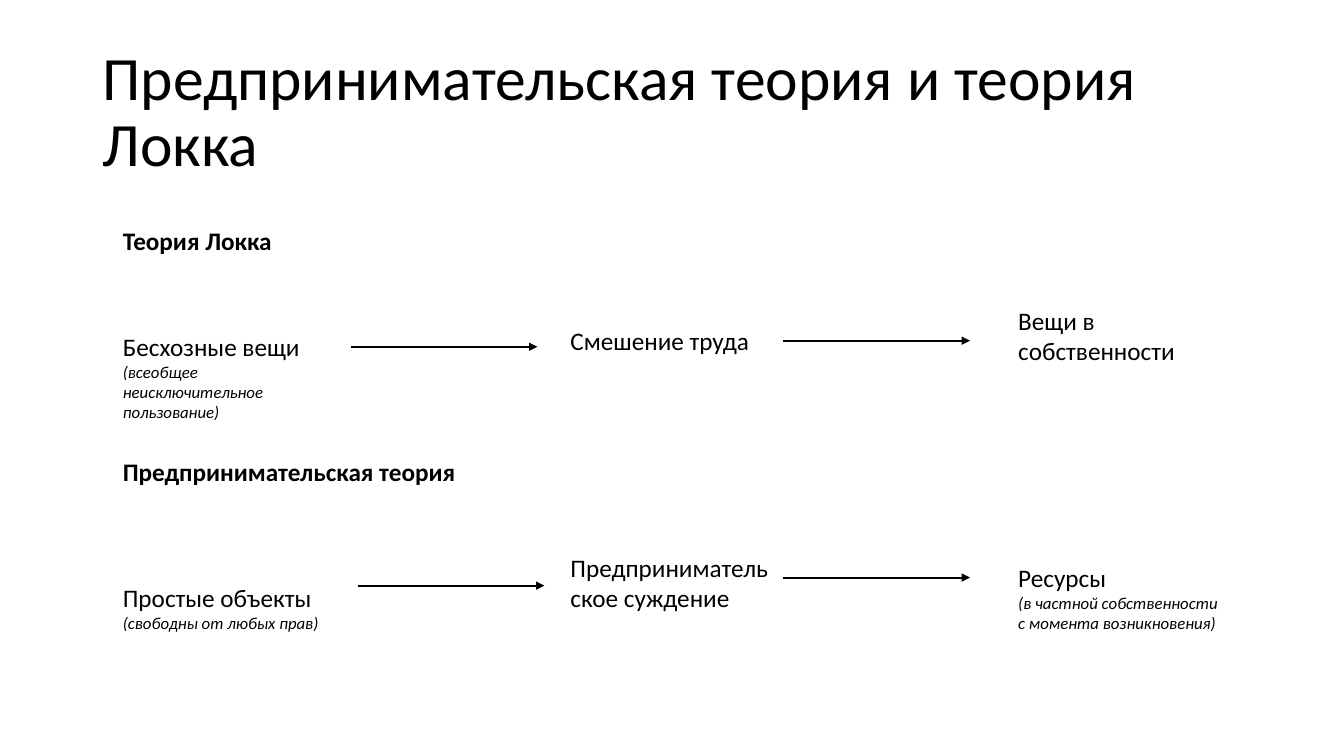
from dataclasses import dataclass

from lxml import etree
from pptx import Presentation
from pptx.dml.color import RGBColor
from pptx.enum.shapes import MSO_CONNECTOR
from pptx.enum.text import MSO_ANCHOR, MSO_AUTO_SIZE
from pptx.oxml.ns import qn
from pptx.util import Inches, Pt

STRAIGHT = MSO_CONNECTOR.STRAIGHT
MIDDLE, TOP = MSO_ANCHOR.MIDDLE, MSO_ANCHOR.TOP
FIT_SHAPE, NO_FIT = MSO_AUTO_SIZE.SHAPE_TO_FIT_TEXT, MSO_AUTO_SIZE.NONE
RIGHT_SIDE = 3


@dataclass(frozen=True)
class Theme:
    font: str = "Calibri"
    ink: RGBColor = RGBColor(0, 0, 0)
    paper: RGBColor = RGBColor(255, 255, 255)
    title_size: int = 44
    body_size: int = 18
    note_size: int = 12
    arrow_width: float = 1.5


class TheorySlide:
    def __init__(self, slide, theme):
        self.slide, self.theme = slide, theme
        slide.background.fill.solid()
        slide.background.fill.fore_color.rgb = theme.paper

    def add_run(self, paragraph, text, size, bold=False, italic=False):
        run = paragraph.add_run()
        run.text = text
        font = run.font
        font.name, font.size = self.theme.font, Pt(size)
        font.bold, font.italic = bold, italic
        font.color.rgb = self.theme.ink

    def text_box(self, left, top, width, height, wrap=True, anchor=TOP, fit=FIT_SHAPE):
        box = self.slide.shapes.add_textbox(
            Inches(left), Inches(top), Inches(width), Inches(height))
        frame = box.text_frame
        frame.word_wrap, frame.vertical_anchor, frame.auto_size = wrap, anchor, fit
        return box

    def title(self, text, left, top, width, height):
        box = self.text_box(left, top, width, height, anchor=MIDDLE, fit=NO_FIT)
        paragraph = box.text_frame.paragraphs[0]
        paragraph.line_spacing = 0.9
        self.add_run(paragraph, text, self.theme.title_size)

    def heading(self, text, left, top, width):
        box = self.text_box(left, top, width, 0.4, wrap=False)
        self.add_run(box.text_frame.paragraphs[0], text, self.theme.body_size, bold=True)

    def stage(self, text, note, left, top, height):
        box = self.text_box(left, top, STAGE_WIDTH, height)
        frame = box.text_frame
        self.add_run(frame.paragraphs[0], text, self.theme.body_size)
        if note:
            self.add_run(frame.add_paragraph(), note, self.theme.note_size, italic=True)
        return box

    def arrow(self, left, y, source=None):
        line = self.slide.shapes.add_connector(
            STRAIGHT, Inches(left), Inches(y), Inches(left + ARROW_LENGTH), Inches(y))
        if source is not None:
            line.begin_connect(source, RIGHT_SIDE)
        line.line.color.rgb = self.theme.ink
        line.line.width = Pt(self.theme.arrow_width)
        etree.SubElement(line.line._get_or_add_ln(), qn("a:tailEnd"), type="triangle")
        etree.SubElement(line._element.spPr, qn("a:effectLst"))


# Shared columns of the two chains
START_X, ACTION_X, RESULT_X = 1.12, 5.56, 10
STAGE_WIDTH = 2.21
ARROW_LENGTH = 1.85
SECOND_ARROW_X = ACTION_X + STAGE_WIDTH


def main():
    presentation = Presentation()
    presentation.slide_width, presentation.slide_height = Inches(13.33), Inches(7.5)
    page = TheorySlide(
        presentation.slides.add_slide(presentation.slide_layouts[6]), Theme())

    # Title
    page.title("Предпринимательская теория и теория Локка", 0.92, 0.4, 11.5, 1.45)

    # Locke's theory
    page.heading("Теория Локка", START_X, 2.19, 1.69)
    page.stage("Бесхозные вещи", "(всеобщее неисключительное пользование)",
               START_X, 3.24, 1.01)
    labour = page.stage("Смешение труда", None, ACTION_X, 3.18, 0.4)
    page.stage("Вещи в собственности", None, RESULT_X, 2.98, 0.71)
    page.arrow(3.48, 3.44)
    page.arrow(SECOND_ARROW_X, 3.38, source=labour)

    # Entrepreneurial theory
    page.heading("Предпринимательская теория", START_X, 4.48, 3.53)
    page.stage("Простые объекты", "(свободны от любых прав)", START_X, 5.73, 0.61)
    page.stage("Предпринимательское суждение", None, ACTION_X, 5.43, 0.71)
    page.stage("Ресурсы", "(в частной собственности с момента возникновения)",
               RESULT_X, 5.53, 0.81)
    page.arrow(3.55, 5.81)
    page.arrow(SECOND_ARROW_X, 5.73)

    presentation.save("out.pptx")


if __name__ == "__main__":
    main()
